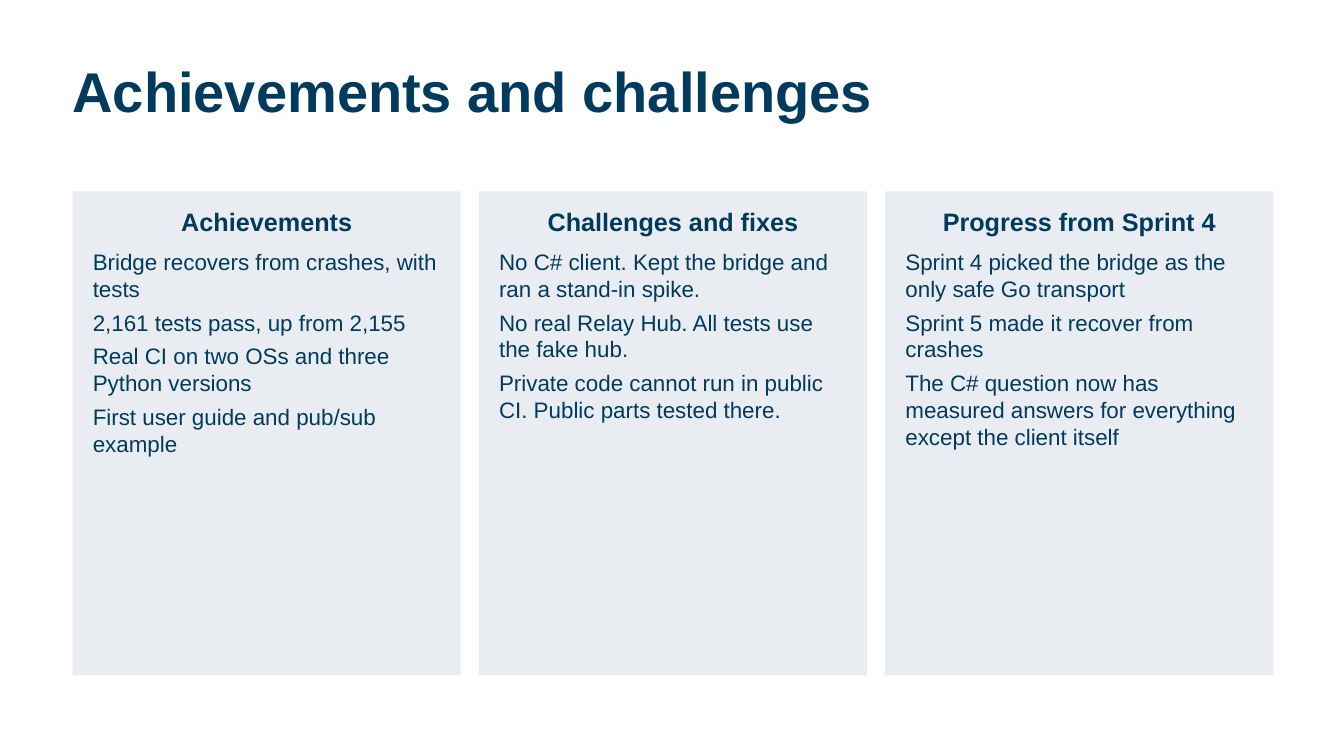
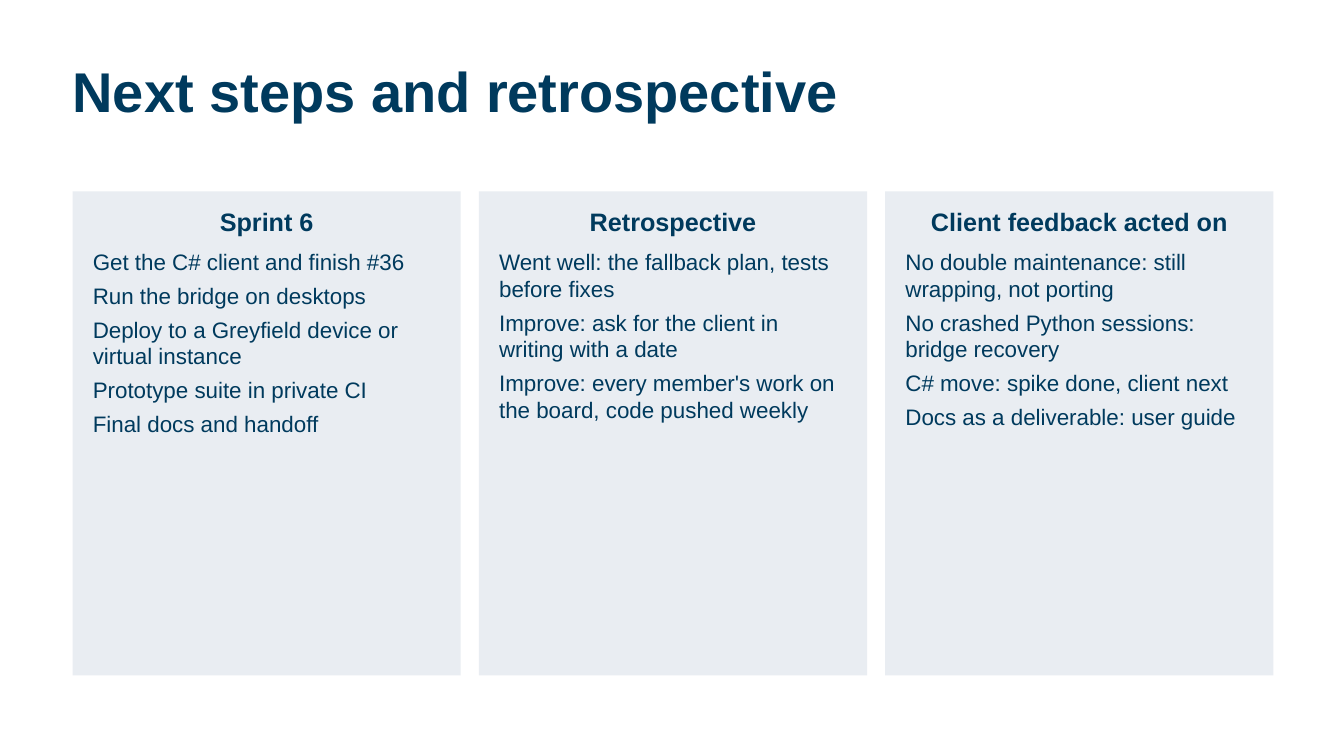
from pptx import Presentation
from pptx.dml.color import RGBColor
from pptx.enum.shapes import MSO_SHAPE as Shape
from pptx.enum.text import MSO_ANCHOR as Anchor, MSO_AUTO_SIZE as AutoSize, PP_ALIGN as Align
from pptx.util import Emu, Pt

EMU_PER_PX = 9144  # 100 px to the inch
TITLE_ONLY = 5


def px(length):
    return Emu(length * EMU_PER_PX)


def color(hex_string):
    return RGBColor.from_string(hex_string)


class SlideBuilder:
    FONT = "Arial"
    NAVY = "003A5D"
    PANEL = "E9EDF2"
    WHITE = "FFFFFF"
    LEFT, PANEL_TOP = 72, 190
    PANEL_WIDTH, PANEL_HEIGHT, GAP = 385, 480, 18

    def __init__(self):
        self.deck = Presentation()
        self.deck.slide_width = px(1333)
        self.deck.slide_height = px(750)
        self.page = None

    def new_page(self, title):
        self.page = self.deck.slides.add_slide(self.deck.slide_layouts[TITLE_ONLY])
        background = self.page.background.fill
        background.solid()
        background.fore_color.rgb = color(self.WHITE)
        self.title(title)

    def title(self, text):
        box = self.page.shapes.title
        box.left, box.top, box.width, box.height = map(px, (self.LEFT, 64, 1189, 121))
        frame = box.text_frame
        self.set_frame(frame, (0, 0, 0, 0))
        frame.text = text
        para = frame.paragraphs[0]
        para.line_spacing = 0.9
        self.format(para, 40, bold=True)

    def panel(self, column, heading, lines):
        left = self.LEFT + column * (self.PANEL_WIDTH + self.GAP)
        box = self.page.shapes.add_shape(
            Shape.RECTANGLE,
            *map(px, (left, self.PANEL_TOP, self.PANEL_WIDTH, self.PANEL_HEIGHT)))
        box.shadow.inherit = False
        box.fill.solid()
        box.fill.fore_color.rgb = color(self.PANEL)
        box.line.fill.background()
        frame = box.text_frame
        self.set_frame(frame, (20, 15, 20, 5))
        frame.text = "\n".join([heading, *lines])
        head, *body = frame.paragraphs
        self.format(head, 18, bold=True, align=Align.CENTER, after=8)
        for para in body:
            self.format(para, 16, after=5)

    def set_frame(self, frame, margins):
        frame.word_wrap = True
        frame.auto_size = AutoSize.NONE
        frame.vertical_anchor = Anchor.TOP
        (frame.margin_left, frame.margin_top,
         frame.margin_right, frame.margin_bottom) = map(px, margins)

    def format(self, para, size, bold=False, align=Align.LEFT, after=0):
        para.alignment = align
        para.space_after = Pt(after)
        for span in para.runs:
            span.font.name = self.FONT
            span.font.size = Pt(size)
            span.font.bold = bold
            span.font.color.rgb = color(self.NAVY)


# Slide titles, each with its panels
PAGES = {
    "Achievements and challenges": {
        "Achievements": [
            "Bridge recovers from crashes, with tests",
            "2,161 tests pass, up from 2,155",
            "Real CI on two OSs and three Python versions",
            "First user guide and pub/sub example",
        ],
        "Challenges and fixes": [
            "No C# client. Kept the bridge and ran a stand-in spike.",
            "No real Relay Hub. All tests use the fake hub.",
            "Private code cannot run in public CI. Public parts tested there.",
        ],
        "Progress from Sprint 4": [
            "Sprint 4 picked the bridge as the only safe Go transport",
            "Sprint 5 made it recover from crashes",
            "The C# question now has measured answers for everything except the client itself",
        ],
    },
    "Next steps and retrospective": {
        "Sprint 6": [
            "Get the C# client and finish #36",
            "Run the bridge on desktops",
            "Deploy to a Greyfield device or virtual instance",
            "Prototype suite in private CI",
            "Final docs and handoff",
        ],
        "Retrospective": [
            "Went well: the fallback plan, tests before fixes",
            "Improve: ask for the client in writing with a date",
            "Improve: every member's work on the board, code pushed weekly",
        ],
        "Client feedback acted on": [
            "No double maintenance: still wrapping, not porting",
            "No crashed Python sessions: bridge recovery",
            "C# move: spike done, client next",
            "Docs as a deliverable: user guide",
        ],
    },
}


def main():
    builder = SlideBuilder()
    for title, panels in PAGES.items():
        builder.new_page(title)
        for column, (heading, lines) in enumerate(panels.items()):
            builder.panel(column, heading, lines)
    builder.deck.save("out.pptx")


if __name__ == "__main__":
    main()
